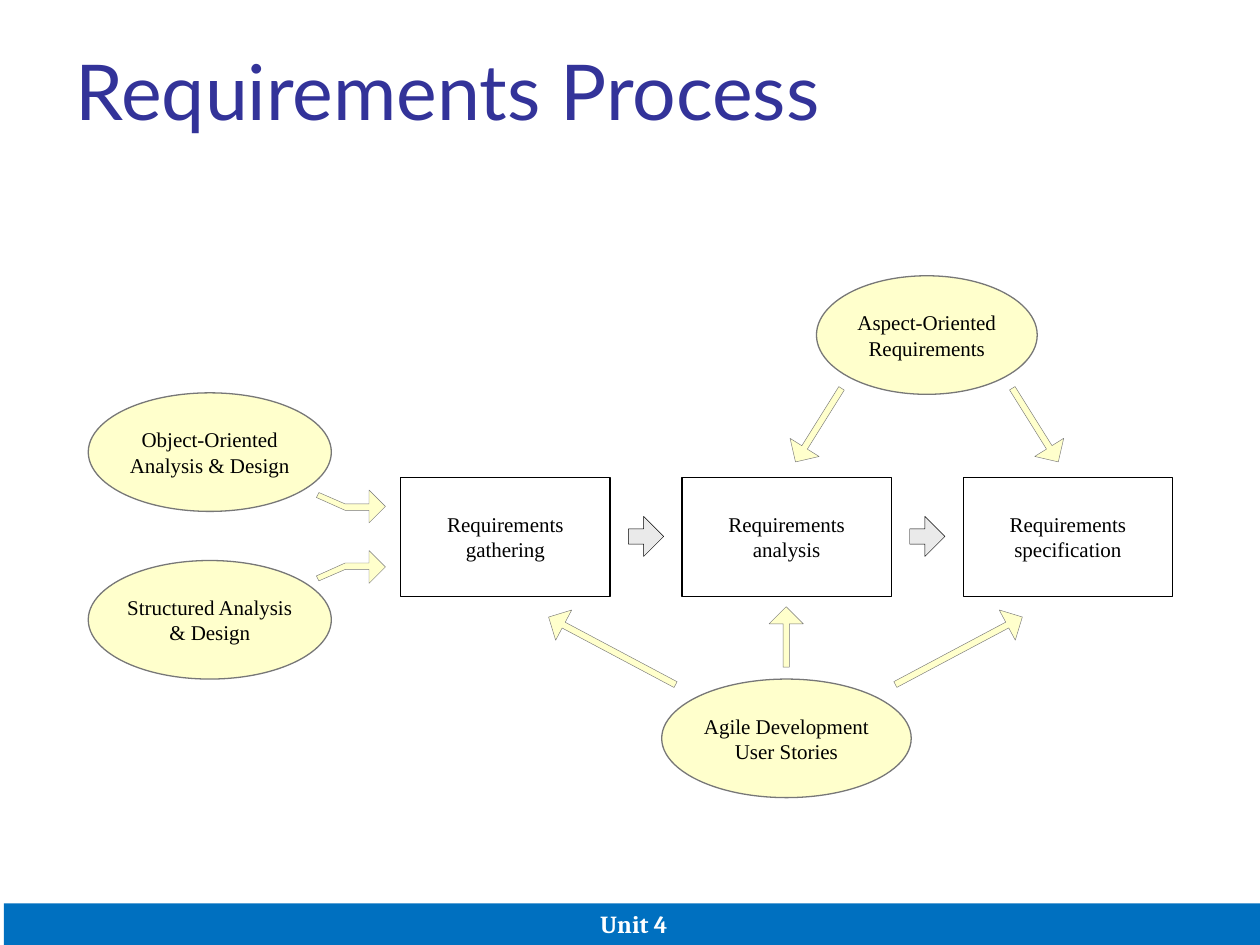
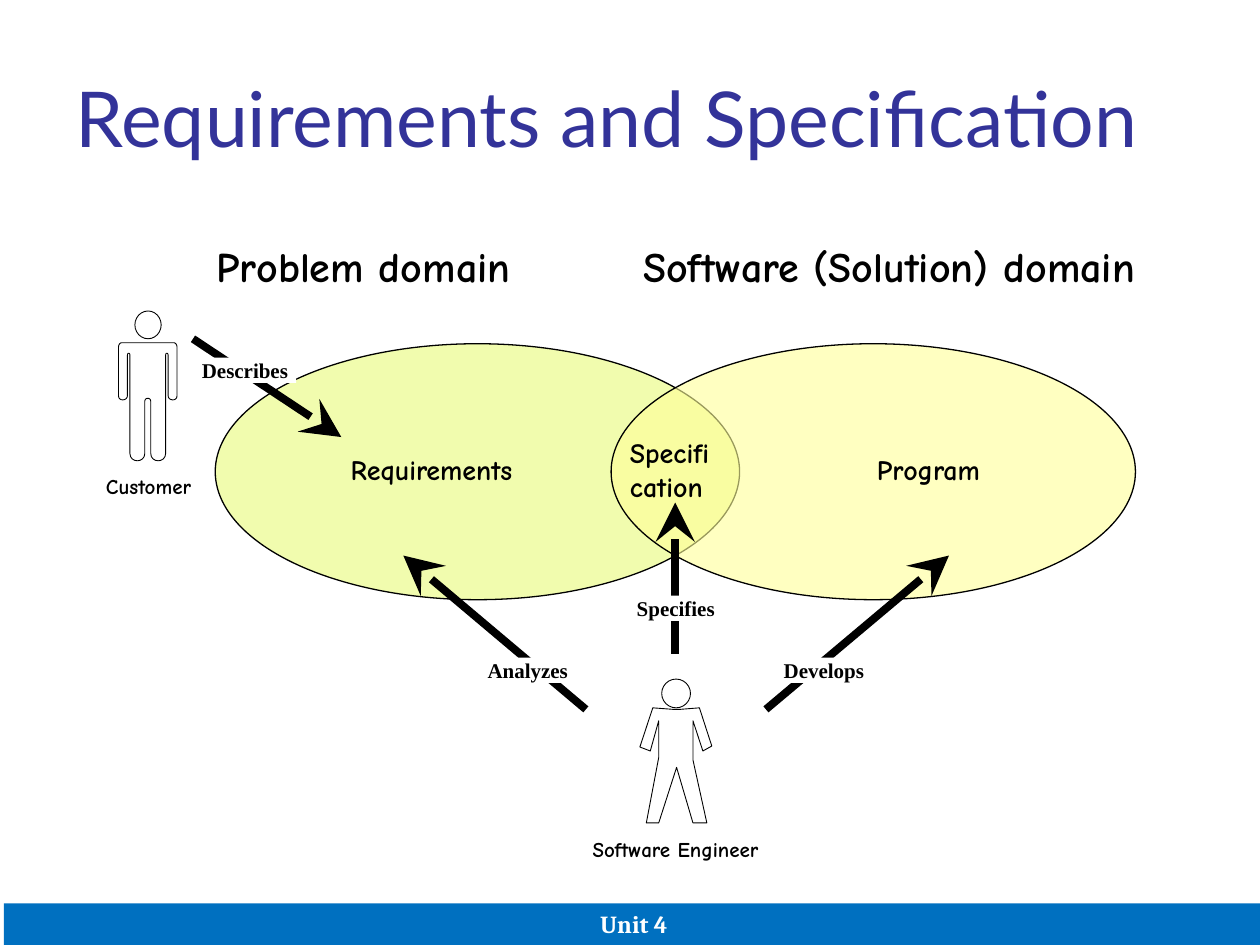
"""Build two slides on the requirements process and on requirements versus specification."""
from itertools import chain
from typing import NamedTuple, Optional

from lxml.etree import SubElement
from pptx import Presentation
from pptx.dml.color import RGBColor
from pptx.enum.shapes import MSO_CONNECTOR, MSO_SHAPE
from pptx.enum.text import MSO_ANCHOR, MSO_AUTO_SIZE, PP_ALIGN
from pptx.oxml.ns import qn
from pptx.util import Cm, Pt

TITLE_COLOR, BAND_COLOR = "333399", "0070C0"
BLACK, WHITE, GREY = "000000", "FFFFFF", "777777"
CREAM, LIME, YELLOW, SILVER = "FFFFCC", "F1FCAE", "FFFF99", "EAEAEA"
TITLE_FONT, BAND_FONT, SERIF, COMIC = "Lato", "Cambria", "Times New Roman", "Comic Neue"

Point = tuple[float, float]


class Box(NamedTuple):
    left: float
    top: float
    width: float
    height: float


class Caption(NamedTuple):
    text: str
    box: Box
    size: int = 12
    font: str = COMIC
    align: PP_ALIGN = PP_ALIGN.LEFT
    fill: Optional[str] = None


class Method(NamedTuple):
    text: str
    left: float
    top: float
    width: float


class Influence(NamedTuple):
    center: Point
    length: float
    rotation: int
    shaft: float = 0.19


class Action(NamedTuple):
    start: Point
    end: Point


BAND = Box(0.08, 18.21, 25.4, 0.84)
TITLE = Box(1.27, 0.76, 22.86, 3.18)

STAGES = ("Requirements gathering", "Requirements analysis", "Requirements specification")
STAGE_LEFT, STAGE_TOP, STAGE_WIDTH, STAGE_PITCH = 8.08, 9.63, 4.22, 5.67
NODE_HEIGHT = 2.39
METHODS = (
    Method("Agile Development User Stories", 13.34, 13.69, 5.03),
    Method("Aspect-Oriented Requirements", 16.46, 5.56, 4.45),
    Method("Object-Oriented Analysis & Design", 1.78, 7.92, 4.9),
    Method("Structured Analysis & Design", 1.78, 11.3, 4.9),
)
INFLUENCE_THICKNESS = 0.69
INFLUENCES = (
    Influence((15.85, 12.84), 1.22, 270, 0.18),
    Influence((16.5, 8.57), 1.75, 122),
    Influence((20.87, 8.57), 1.75, 58),
    Influence((12.34, 13.12), 2.9, 208),
    Influence((19.33, 13.12), 2.9, 332),
)
BENT_ARROW = (
    (6.96, 10.16), (7.44, 10.16), (7.44, 9.88), (7.77, 10.21), (7.44, 10.54),
    (7.44, 10.29), (6.96, 10.29), (6.38, 10.03), (6.43, 9.93),
)
BENT_ARROW_AXIS = 10.82

DOMAIN_LEFTS, DOMAIN_TOP, DOMAIN_WIDTH, DOMAIN_HEIGHT = (4.34, 12.32), 6.93, 10.57, 5.16
ACTIONS = (
    Action((13.61, 13.18), (13.61, 10.13)),
    Action((3.89, 6.83), (6.88, 8.81)),
    Action((11.81, 14.3), (8.13, 11.2)),
    Action((15.44, 14.3), (19.13, 11.2)),
)
CAPTIONS = (
    Caption("Problem domain", Box(4.34, 4.85, 6.17, 1.02), 24),
    Caption("Software (Solution) domain", Box(12.04, 4.85, 10.87, 1.02), 24, align=PP_ALIGN.RIGHT),
    Caption("Specifi\vcation", Box(12.67, 8.79, 1.96, 1.35), 16),
    Caption("Requirements", Box(7.04, 9.12, 3.63, 0.69), 16),
    Caption("Program", Box(17.65, 9.12, 2.21, 0.69), 16),
    Caption("Customer", Box(2.03, 9.55, 1.93, 0.51), align=PP_ALIGN.CENTER),
    Caption("Software Engineer", Box(11.73, 16.87, 3.78, 0.51), align=PP_ALIGN.CENTER),
    Caption("Describes", Box(4.04, 7.21, 1.93, 0.51), font=SERIF, fill=WHITE),
    Caption("Specifies", Box(12.75, 12.01, 1.75, 0.51), font=SERIF, align=PP_ALIGN.CENTER, fill=WHITE),
    Caption("Analyzes", Box(9.8, 13.26, 1.75, 0.51), font=SERIF, fill=WHITE),
    Caption("Develops", Box(15.77, 13.26, 1.8, 0.51), font=SERIF, fill=WHITE),
)
ENGINEER_HEAD = Box(13.34, 13.69, 0.58, 0.58)
ENGINEER_BODY = (
    (12.9, 15.06), (13.16, 14.27), (13.56, 14.3), (13.72, 14.3), (14.1, 14.27), (14.35, 15.04),
    (14.17, 15.14), (13.97, 14.53), (13.97, 15.32), (14.25, 16.59), (13.97, 16.59), (13.64, 15.47),
    (13.28, 16.59), (13.03, 16.59), (13.28, 15.27), (13.28, 14.53), (13.11, 15.14),
)
CUSTOMER_HEAD = Box(2.72, 6.27, 0.53, 0.56)
CUSTOMER_AXIS = 2.98
CUSTOMER_CURVES = (
    ((2.46, 6.91), (2.41, 6.91), (2.39, 6.96), (2.39, 7.01)),
    ((2.39, 7.98), (2.39, 8.1), (2.57, 8.08), (2.57, 7.98)),
    ((2.57, 7.16), (2.57, 7.11), (2.62, 7.11), (2.62, 7.16)),
    ((2.62, 9.14), (2.62, 9.34), (2.92, 9.34), (2.92, 9.14)),
    ((2.92, 8.1), (2.92, 8.06), (2.94, 8.03), (2.98, 8.03)),
)


def rgb(color: str) -> RGBColor:
    return RGBColor.from_string(color)


def lengths(values) -> list[Cm]:
    return [Cm(value) for value in values]


def style(shape, fill: str, line: Optional[str] = None, weight: float = 0.75) -> None:
    shape.shadow.inherit = False
    shape.fill.solid()
    shape.fill.fore_color.rgb = rgb(fill)
    if line:
        shape.line.color.rgb = rgb(line)
        shape.line.width = Pt(weight)
    else:
        shape.line.fill.background()


def write(frame, text: str, size: int, font: str, color: str = BLACK,
          align: PP_ALIGN = PP_ALIGN.CENTER, bold: bool = False) -> None:
    frame.text = text
    paragraph = frame.paragraphs[0]
    paragraph.alignment = align
    paragraph.font.size = Pt(size)
    paragraph.font.name = font
    paragraph.font.bold = bold
    paragraph.font.color.rgb = rgb(color)


def set_margins(frame, side: float, vertical: float = 0) -> None:
    frame.margin_left = frame.margin_right = Cm(side)
    frame.margin_top = frame.margin_bottom = Cm(vertical)


def add_preset(slide, preset: MSO_SHAPE, box: Box, fill: str,
               line: Optional[str] = None, weight: float = 0.75):
    shape = slide.shapes.add_shape(preset, *lengths(box))
    style(shape, fill, line, weight)
    return shape


def add_block_arrow(slide, box: Box, fill: str, line: str, shaft: float, head: float):
    arrow = add_preset(slide, MSO_SHAPE.RIGHT_ARROW, box, fill, line, 0.25)
    arrow.adjustments[0], arrow.adjustments[1] = shaft, head
    return arrow


def add_outline(slide, points, fill: str, line: str, weight: float) -> None:
    first, *rest = [tuple(lengths(point)) for point in points]
    builder = slide.shapes.build_freeform(*first)
    builder.add_line_segments(rest, close=True)
    style(builder.convert_to_shape(), fill, line, weight)


def add_influence(slide, influence: Influence) -> None:
    x, y = influence.center
    box = Box(x - influence.length / 2, y - INFLUENCE_THICKNESS / 2,
              influence.length, INFLUENCE_THICKNESS)
    arrow = add_block_arrow(slide, box, CREAM, GREY, influence.shaft, 0.5)
    arrow.rotation = influence.rotation


def add_method(slide, method: Method) -> None:
    box = Box(method.left, method.top, method.width, NODE_HEIGHT)
    node = add_preset(slide, MSO_SHAPE.OVAL, box, CREAM, GREY)
    set_margins(node.text_frame, 0)
    write(node.text_frame, method.text, 12, SERIF)


def add_action(slide, action: Action) -> None:
    ends = lengths(action.start + action.end)
    arrow = slide.shapes.add_connector(MSO_CONNECTOR.STRAIGHT, *ends)
    arrow.line.color.rgb = rgb(BLACK)
    arrow.line.width = Pt(4.5)
    properties = arrow.element.spPr
    SubElement(properties.find(qn("a:ln")), qn("a:tailEnd"), type="stealth", w="lg", len="lg")
    SubElement(properties, qn("a:effectLst"))


def add_caption(slide, caption: Caption) -> None:
    label = slide.shapes.add_textbox(*lengths(caption.box))
    frame = label.text_frame
    frame.word_wrap = False
    frame.auto_size = MSO_AUTO_SIZE.SHAPE_TO_FIT_TEXT
    set_margins(frame, 0.03)
    write(frame, caption.text, caption.size, caption.font, align=caption.align, bold=True)
    if caption.fill:
        label.fill.solid()
        label.fill.fore_color.rgb = rgb(caption.fill)


def add_person(slide, head: Box, body) -> None:
    add_outline(slide, body, WHITE, BLACK, 0.5)
    add_preset(slide, MSO_SHAPE.OVAL, head, WHITE, BLACK, 0.5)


def bezier(curve, steps: int = 8) -> list[Point]:
    points = []
    for step in range(steps + 1):
        t = step / steps
        weights = ((1 - t) ** 3, 3 * t * (1 - t) ** 2, 3 * t ** 2 * (1 - t), t ** 3)
        points.append(tuple(sum(w * p[axis] for w, p in zip(weights, curve)) for axis in (0, 1)))
    return points


def customer_body() -> list[Point]:
    left_half = list(chain.from_iterable(bezier(curve) for curve in CUSTOMER_CURVES))
    return left_half + [(2 * CUSTOMER_AXIS - x, y) for x, y in reversed(left_half[:-1])]


def start_slide(deck, heading: str, anchor: MSO_ANCHOR):
    slide = deck.slides.add_slide(deck.slide_layouts[5])
    title = slide.shapes.title
    title.left, title.top, title.width, title.height = lengths(TITLE)
    write(title.text_frame, heading, 44, TITLE_FONT, TITLE_COLOR, PP_ALIGN.LEFT)
    title.text_frame.vertical_anchor = anchor
    title.text_frame.auto_size = MSO_AUTO_SIZE.NONE
    band = add_preset(slide, MSO_SHAPE.RECTANGLE, BAND, BAND_COLOR)
    band.text_frame.vertical_anchor = MSO_ANCHOR.BOTTOM
    write(band.text_frame, "Unit 4", 14, BAND_FONT, WHITE, bold=True)
    return slide


def build_process(deck) -> None:
    slide = start_slide(deck, "Requirements Process", MSO_ANCHOR.TOP)
    for index, stage in enumerate(STAGES):
        left = STAGE_LEFT + index * STAGE_PITCH
        box = Box(left, STAGE_TOP, STAGE_WIDTH, NODE_HEIGHT)
        node = add_preset(slide, MSO_SHAPE.RECTANGLE, box, WHITE, BLACK)
        write(node.text_frame, stage, 12, SERIF)
        if index < len(STAGES) - 1:
            step_box = Box(left + 4.59, 10.41, 0.71, 0.81)
            add_block_arrow(slide, step_box, SILVER, BLACK, 0.38, 0.57)
    for method in METHODS:
        add_method(slide, method)
    for influence in INFLUENCES:
        add_influence(slide, influence)
    mirrored = [(x, 2 * BENT_ARROW_AXIS - y) for x, y in BENT_ARROW]
    for outline in (BENT_ARROW, mirrored):
        add_outline(slide, outline, CREAM, GREY, 0.25)


def build_domains(deck) -> None:
    slide = start_slide(deck, "Requirements and Specification", MSO_ANCHOR.MIDDLE)
    for left, fill in zip(DOMAIN_LEFTS, (LIME, YELLOW)):
        box = Box(left, DOMAIN_TOP, DOMAIN_WIDTH, DOMAIN_HEIGHT)
        domain = add_preset(slide, MSO_SHAPE.OVAL, box, fill, BLACK)
    solution_color = domain.element.spPr.find(qn("a:solidFill"))[0]
    SubElement(solution_color, qn("a:alpha"), val="60000")
    add_person(slide, ENGINEER_HEAD, ENGINEER_BODY)
    add_person(slide, CUSTOMER_HEAD, customer_body())
    for action in ACTIONS:
        add_action(slide, action)
    for caption in CAPTIONS:
        add_caption(slide, caption)


def main() -> None:
    deck = Presentation()
    deck.slide_width, deck.slide_height = Cm(25.4), Cm(19.05)
    build_process(deck)
    build_domains(deck)
    deck.save("out.pptx")


if __name__ == "__main__":
    main()
